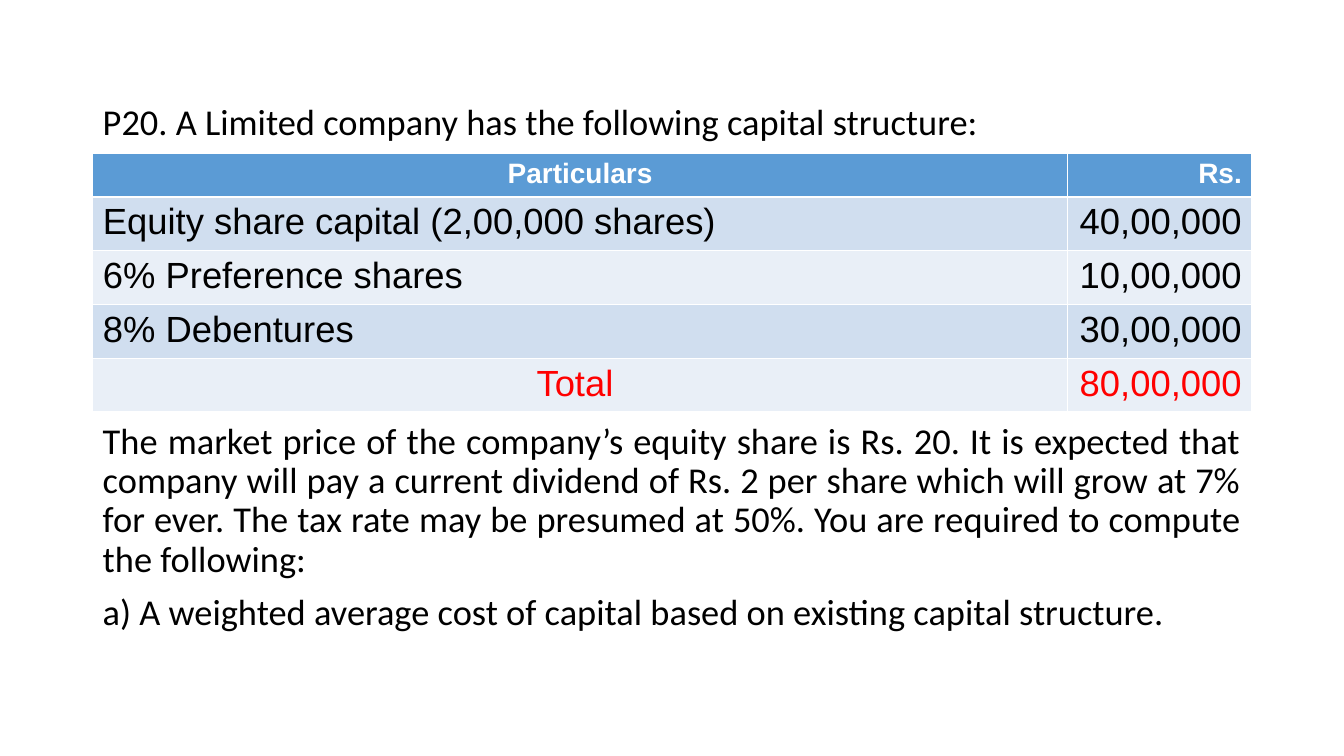
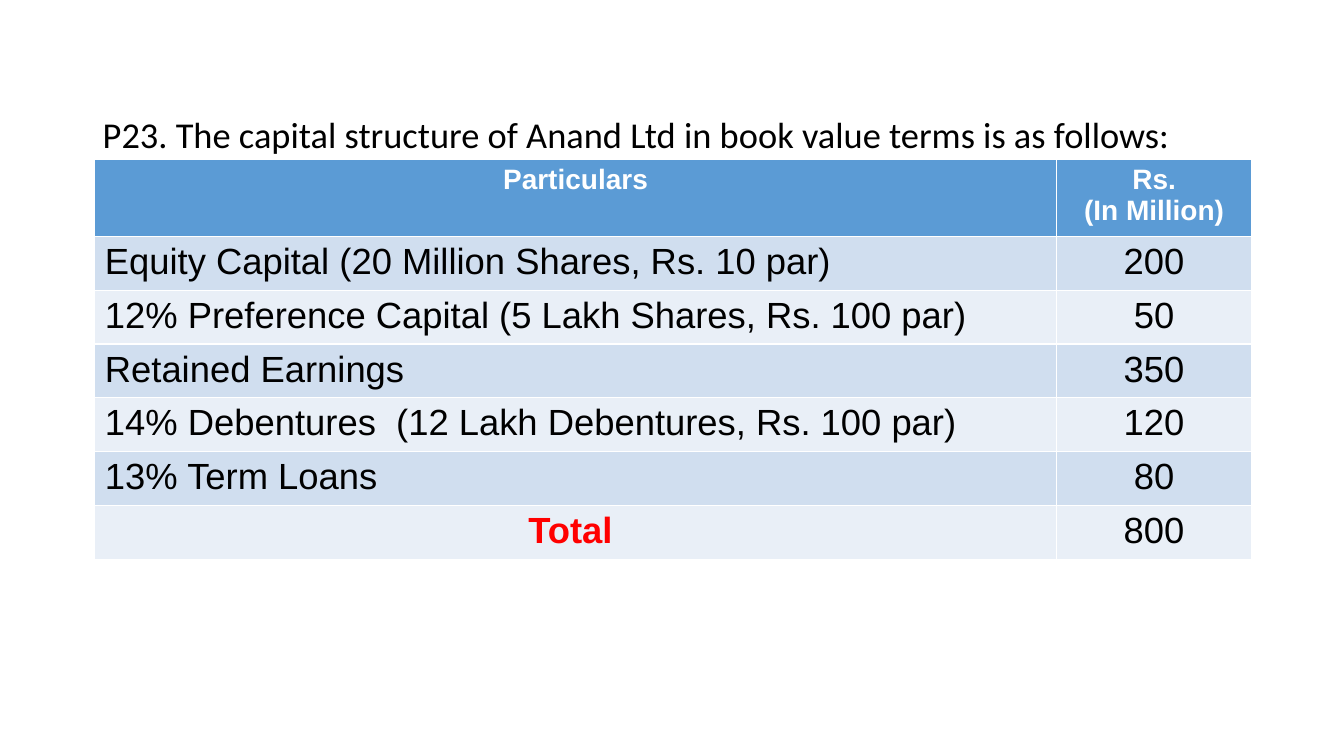
from pptx import Presentation
from pptx.dml.color import RGBColor
from pptx.enum.text import PP_ALIGN as AL
from pptx.util import Cm, Pt

BLACK, WHITE, RED = "000000", "FFFFFF", "FF0000"
HEADER, BANDS = "5B9BD5", ("D0DEEF", "E9EFF7")
LEFT, WIDTH = 2.34, 29.21
ROW_H = 1.28


def style(p, align, font, size, color, bold=False):
    """Align a paragraph and format its runs."""
    p.alignment = align
    for r in p.runs:
        r.font.name, r.font.size, r.font.bold = font, Pt(size), bold
        r.font.color.rgb = RGBColor.from_string(color)


def add_text(s, top, height, *paragraphs):
    tf = s.shapes.add_textbox(Cm(LEFT), Cm(top), Cm(WIDTH), Cm(height)).text_frame
    tf.word_wrap = True
    tf.text = "\n".join(paragraphs)
    for i, p in enumerate(tf.paragraphs):
        style(p, AL.JUSTIFY, "Calibri", 26, BLACK)
        p.line_spacing = 0.9
        p.space_before = Pt(10 if i else 0)


problems = [
    {
        "intro": "P20. A Limited company has the following capital structure:",
        "intro_top": 2.49,
        "table_at": (2.34, 3.86),
        "columns": (24.56, 4.65),
        "header_height": 1.04,
        "amount_align": AL.RIGHT,
        "total_bold": False,
        "total_color": RED,
        "rows": [
            ("Particulars", "Rs."),
            ("Equity share capital (2,00,000 shares)", "40,00,000"),
            ("6% Preference shares", "10,00,000"),
            ("8% Debentures", "30,00,000"),
            ("Total ", "80,00,000"),
        ],
        "question": [
            "The market price of the company’s equity share is Rs. 20. It is expected "
            "that company will pay a current dividend of Rs. 2 per share which will "
            "grow at 7% for ever. The tax rate may be presumed at 50%. You are "
            "required to compute the following:",
            "a) A weighted average cost of capital based on existing capital structure.",
        ],
    },
    {
        "intro": "P23. The capital structure of Anand Ltd in book value terms is as follows:",
        "intro_top": 2.82,
        "table_at": (2.39, 4.01),
        "columns": (24.23, 4.93),
        "header_height": 1.83,
        "amount_align": AL.CENTER,
        "total_bold": True,
        "total_color": BLACK,
        "rows": [
            ("Particulars", "Rs.\n(In Million)"),
            ("Equity Capital (20 Million Shares, Rs. 10 par)", "200"),
            ("12% Preference Capital (5 Lakh Shares, Rs. 100 par)", "50"),
            ("Retained Earnings", "350"),
            ("14% Debentures  (12 Lakh Debentures, Rs. 100 par)", "120"),
            ("13% Term Loans", "80"),
            ("Total ", "800"),
        ],
        "question": [],
    },
]

prs = Presentation()
prs.slide_width, prs.slide_height = Cm(33.87), Cm(19.05)

for problem in problems:
    s = prs.slides.add_slide(prs.slide_layouts[6])
    add_text(s, problem["intro_top"], 1.3, problem["intro"])

    rows, columns = problem["rows"], problem["columns"]
    left, top = problem["table_at"]
    height = problem["header_height"] + ROW_H * (len(rows) - 1)
    table = s.shapes.add_table(len(rows), 2, Cm(left), Cm(top),
                               Cm(sum(columns)), Cm(height)).table
    for column, width in zip(table.columns, columns):
        column.width = Cm(width)

    for i, row in enumerate(rows):
        is_header, is_total = i == 0, i == len(rows) - 1
        table.rows[i].height = Cm(problem["header_height"] if is_header else ROW_H)
        for j, text in enumerate(row):
            cell = table.cell(i, j)
            cell.fill.solid()
            fill = HEADER if is_header else BANDS[(i - 1) % 2]
            cell.fill.fore_color.rgb = RGBColor.from_string(fill)
            cell.text_frame.text = text

            size, color, bold = 26, BLACK, False
            if is_header:
                size, color, bold = 20, WHITE, True
            elif is_total:
                color = problem["total_color"] if j else RED
                bold = problem["total_bold"] and j == 0
            if j:
                align = problem["amount_align"]
            else:
                align = AL.CENTER if is_header or is_total else AL.LEFT
            for p in cell.text_frame.paragraphs:
                style(p, align, "Arial", size, color, bold)

    if problem["question"]:
        add_text(s, 10.53, 5.8, *problem["question"])

prs.save("out.pptx")
